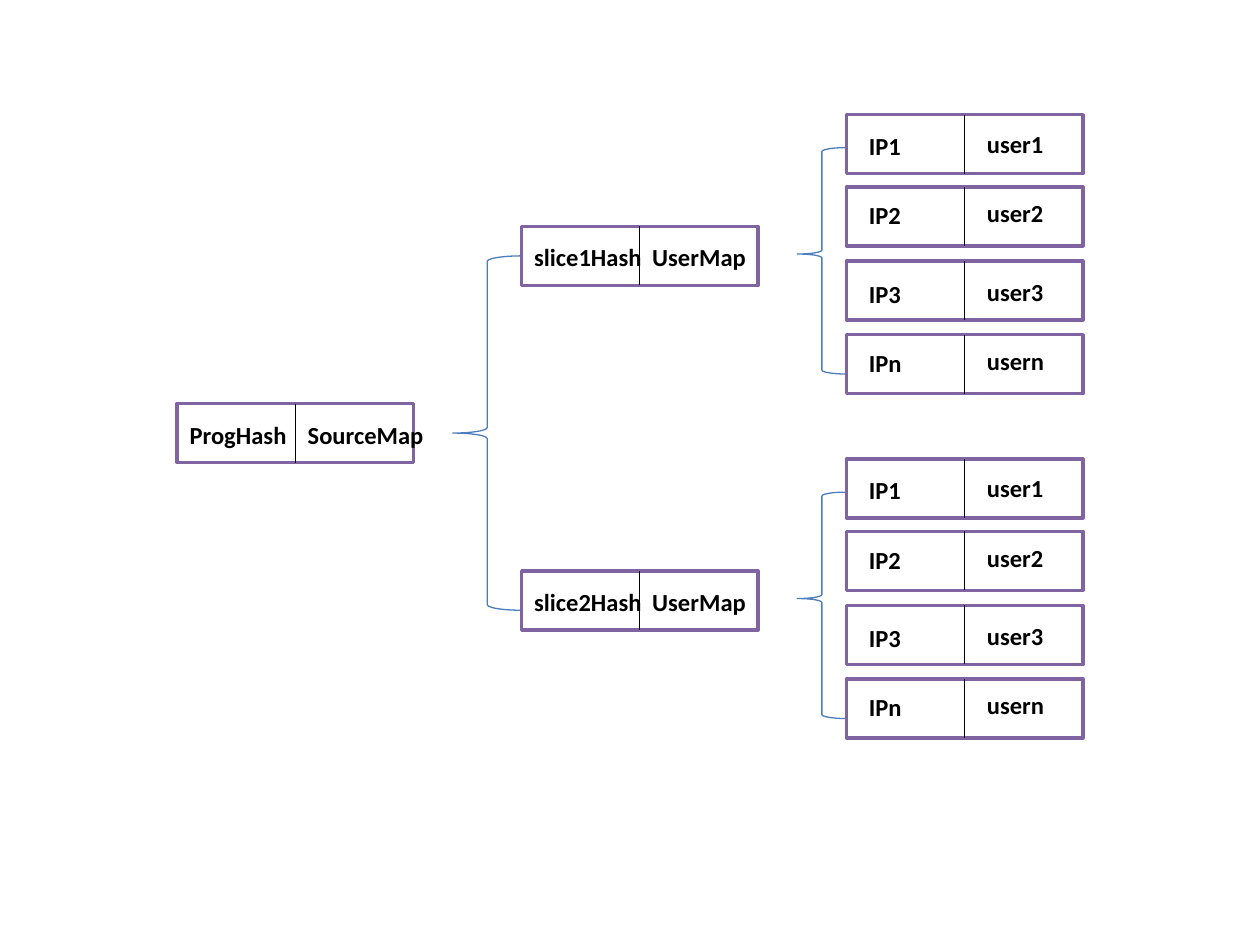
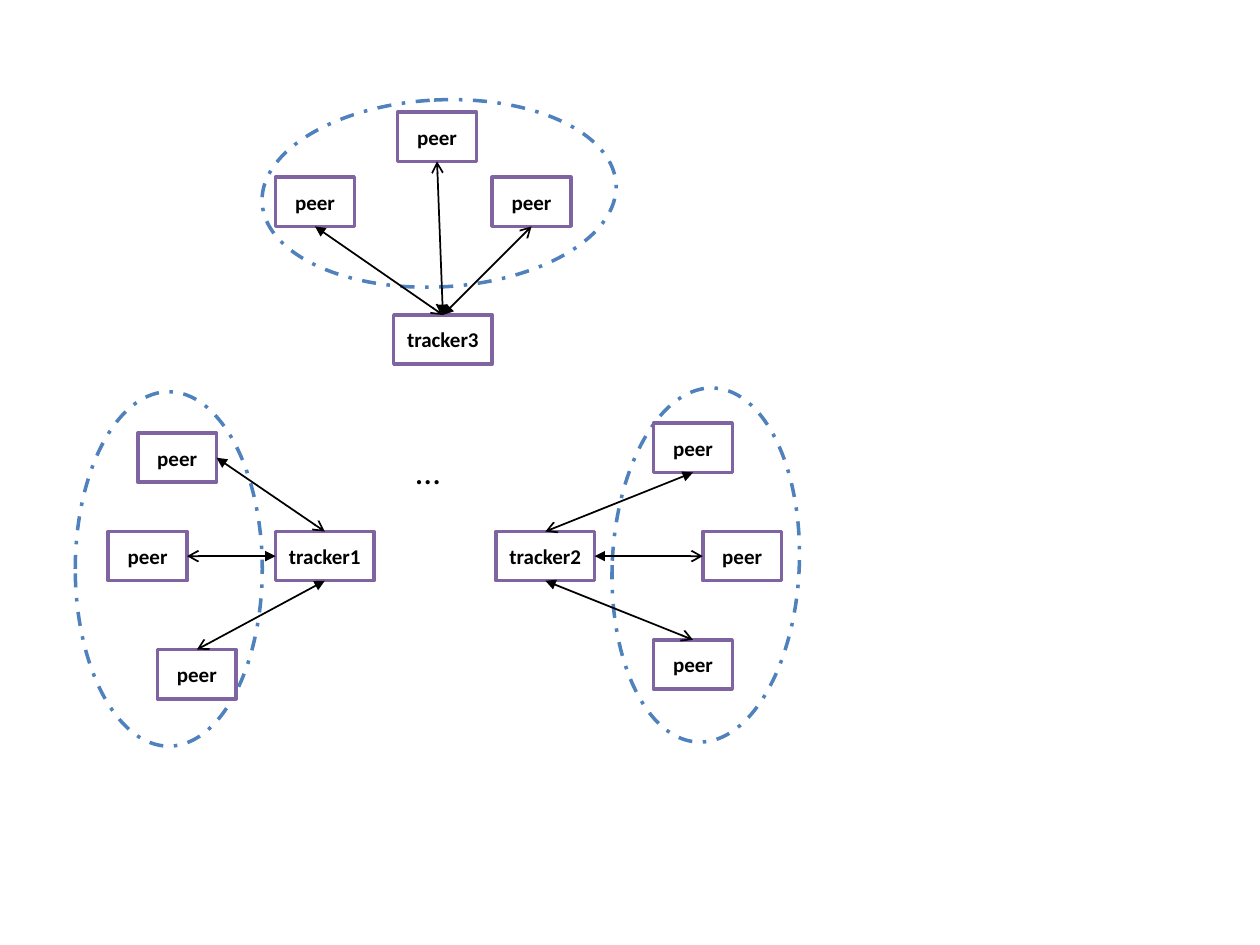
from dataclasses import dataclass
from lxml.etree import SubElement as sub
from pptx import Presentation as Deck
from pptx.dml.color import RGBColor as RGB
from pptx.enum.dml import MSO_LINE as Dash
from pptx.enum.shapes import MSO_CONNECTOR as Wire, MSO_SHAPE as Form
from pptx.enum.text import MSO_ANCHOR as Anchor, MSO_AUTO_SIZE as Auto, PP_ALIGN as Align
from pptx.oxml.ns import qn
from pptx.util import Inches, Pt

COLS, ROWS = 128, 96
TOP, LEFT, BASE, RIGHT = range(4)


@dataclass(frozen=True)
class Theme:
    font: str = "Calibri"
    ink: str = "000000"
    paper: str = "FFFFFF"
    frame: str = "8064A2"
    brace: str = "4B7EBC"
    ring: str = "4F81BD"
    node: int = 12
    label: int = 14
    dots: int = 20
    thick: float = 2
    thin: float = 0.75
    link: float = 1


class Sketch:
    def __init__(self, deck, theme):
        self.deck, self.theme = deck, theme
        self.wide = deck.slide_width / COLS
        self.high = deck.slide_height / ROWS

    def page(self):
        self.slide = self.deck.slides.add_slide(self.deck.slide_layouts[6])

    def place(self, x, y, w, h):
        return (round(x * self.wide), round(y * self.high),
                round(w * self.wide), round(h * self.high))

    def stroke(self, item, tone, width):
        item.line.color.rgb = RGB.from_string(tone)
        item.line.width = Pt(width)

    def shape(self, form, spot, tone, width, fill=True):
        item = self.slide.shapes.add_shape(form, *self.place(*spot))
        item.shadow.inherit = False
        if fill:
            item.fill.solid()
            item.fill.fore_color.rgb = RGB.from_string(self.theme.paper)
        else:
            item.fill.background()
        self.stroke(item, tone, width)
        return item

    def letter(self, frame, text, size, bold=True):
        para = frame.paragraphs[0]
        para.text = text
        font = para.font
        font.name, font.size, font.bold = self.theme.font, Pt(size), bold
        font.color.rgb = RGB.from_string(self.theme.ink)
        return para

    def box(self, *spot):
        return self.shape(Form.RECTANGLE, spot, self.theme.frame, self.theme.thick)

    def node(self, text, x, y, w=8):
        item = self.box(x, y, w, 5)
        frame = item.text_frame
        frame.word_wrap = False
        frame.vertical_anchor = Anchor.MIDDLE
        self.letter(frame, text, self.theme.node).alignment = Align.CENTER
        return item

    def label(self, text, x, y, w, h=4.35, size=None, bold=True):
        item = self.slide.shapes.add_textbox(*self.place(x, y, w, h))
        frame = item.text_frame
        frame.word_wrap = True
        frame.auto_size = Auto.SHAPE_TO_FIT_TEXT
        self.letter(frame, text, size or self.theme.label, bold)

    def line(self, x, y, w, h, width):
        x, y, w, h = self.place(x, y, w, h)
        item = self.slide.shapes.add_connector(Wire.STRAIGHT, x, y, x + w, y + h)
        self.stroke(item, self.theme.ink, width)
        sub(item._element.spPr, qn("a:effectLst"))
        return item

    def link(self, start, near, end, far):
        item = self.line(0, 0, 1, 1, self.theme.link)
        item.begin_connect(start, near)
        item.end_connect(end, far)
        edge = item._element.spPr.find(qn("a:ln"))
        sub(edge, qn("a:headEnd"), type="triangle")
        sub(edge, qn("a:tailEnd"), type="arrow")

    def ring(self, x, y, turn=0):
        item = self.shape(Form.OVAL, (x, y, 19, 36), self.theme.ring, self.theme.thick)
        item.line.dash_style = Dash.DASH_DOT
        item.rotation = turn

    def brace(self, *spot, point=0.5):
        item = self.shape(Form.LEFT_BRACE, spot, self.theme.brace, self.theme.thin, False)
        item.adjustments[0], item.adjustments[1] = 0.08, point

    def cell(self, x, y):
        self.box(x, y, 24, 6)
        self.line(x + 12, y, 0, 6, self.theme.thin)

    def pair(self, key, value, x, y):
        self.cell(x, y)
        self.label(key, x, y + 1, 15)
        self.label(value, x + 12, y + 1, 15)

    def entry(self, key, value, y, drop):
        self.cell(86, y)
        self.label(key, 87, y + drop, 11)
        self.label(value, 99, y + drop - 0.22, 11)


USERS = (("1", 11.65, 1), ("2", 18.98, 0.75), ("3", 26.5, 1.2), ("n", 34, 0.7))


def hashes(art):
    art.page()
    art.pair("ProgHash", "SourceMap", 18, 41)
    art.brace(46, 26, 7, 36)
    for count in range(2):
        shift = 35 * count
        art.pair(f"slice{count + 1}Hash", "UserMap", 53, 23 + shift)
        art.brace(81, 15 + shift, 5, 23, point=0.47)
        for mark, y, drop in USERS:
            art.entry(f"IP{mark}", f"user{mark}", y + shift, drop)


RINGS = ((62.2, 39.4, 2.6), (7.65, 39.8, 0), (35.1, 1.65, 87))
SWARMS = (
    ("tracker1", 28, 54, (
        (14, 44, RIGHT, TOP, True),
        (11, 54, RIGHT, LEFT, False),
        (16, 66, TOP, BASE, False))),
    ("tracker2", 50.4, 54, (
        (66.4, 43, BASE, TOP, True),
        (71.4, 54, LEFT, RIGHT, False),
        (66.4, 65, TOP, BASE, False))),
    ("tracker3", 40, 32, (
        (28, 18, BASE, TOP, True),
        (40.4, 11.4, BASE, TOP, False),
        (50, 18, BASE, TOP, False))),
)


def swarms(art):
    art.page()
    for ring in RINGS:
        art.ring(*ring)
    for name, x, y, peers in SWARMS:
        hub = art.node(name, x, y, 10)
        for left, top, side, port, first in peers:
            ends = [(hub, port), (art.node("peer", left, top), side)]
            if first:
                ends.reverse()
            (start, near), (end, far) = ends
            art.link(start, near, end, far)
    art.label("…", 41, 45, 7, 5.6, art.theme.dots, False)


def main():
    deck = Deck()
    deck.slide_width, deck.slide_height = Inches(10), Inches(7.5)
    art = Sketch(deck, Theme())
    hashes(art)
    swarms(art)
    deck.save("out.pptx")


if __name__ == "__main__":
    main()
